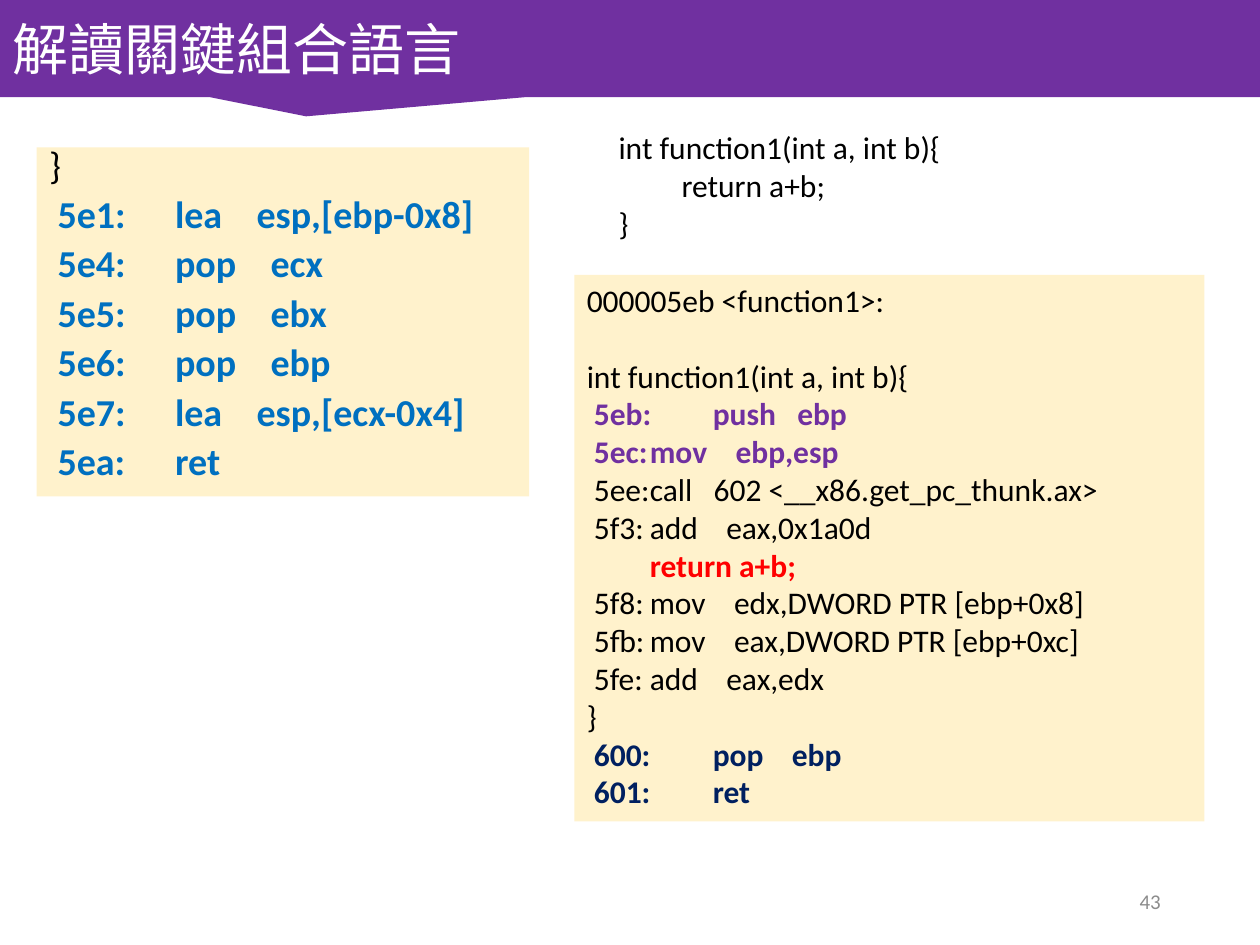
from pptx import Presentation
from pptx.dml.color import RGBColor
from pptx.enum.shapes import MSO_SHAPE
from pptx.enum.text import MSO_ANCHOR, PP_ALIGN
from pptx.util import Cm, Pt

BLACK, WHITE, GRAY, CREAM = "000000", "FFFFFF", "8C8C8C", "FFF2CC"
PURPLE, BLUE, NAVY, RED = "7030A0", "0070C0", "002060", "FF0000"


def add_run(p, text, size, color=BLACK, font="Calibri"):
    """Add a run; on this slide coloured code is bold."""
    r = p.add_run()
    r.text = text
    r.font.size = Pt(size)
    r.font.name = font
    r.font.color.rgb = RGBColor.from_string(color)
    r.font.bold = color in (PURPLE, BLUE, NAVY, RED)
    return r


def add_code(s, box, lines, size, fill=None):
    """Add a text box with one paragraph per (text, colour) line."""
    sp = s.shapes.add_textbox(*[Cm(v) for v in box])
    if fill:
        sp.fill.solid()
        sp.fill.fore_color.rgb = RGBColor.from_string(fill)
    tf = sp.text_frame
    tf.word_wrap = True
    for i, (text, color) in enumerate(lines):
        p = tf.add_paragraph() if i else tf.paragraphs[0]
        add_run(p, text, size, color)
    return tf


prs = Presentation()
prs.slide_width, prs.slide_height = Cm(25.4), Cm(19.05)
s = prs.slides.add_slide(prs.slide_layouts[5])

# Title on a callout band
title = s.shapes.title
title.left, title.top, title.width, title.height = Cm(0), Cm(0), Cm(25.4), Cm(1.96)
band = s.shapes.add_shape(MSO_SHAPE.RECTANGULAR_CALLOUT, Cm(0), Cm(0), Cm(25.4), Cm(1.96))
band.adjustments[0], band.adjustments[1] = -0.257, 0.697
band.shadow.inherit = False
band.fill.solid()
band.fill.fore_color.rgb = RGBColor.from_string(PURPLE)
band.line.fill.background()
title._element.addprevious(band._element)
tf = title.text_frame
tf.vertical_anchor = MSO_ANCHOR.MIDDLE
p = tf.paragraphs[0]
p.alignment = PP_ALIGN.LEFT
r = add_run(p, "解讀關鍵組合語言", 32, WHITE, "Noto Sans CJK SC")
ea = r.font._element.makeelement(
    "{http://schemas.openxmlformats.org/drawingml/2006/main}ea",
    {"typeface": "Noto Sans CJK SC"})
r.font._element.append(ea)

# End of main
main_end = [
    ("}", BLACK),
    (" 5e1:\tlea    esp,[ebp-0x8]", BLUE),
    (" 5e4:\tpop    ecx", BLUE),
    (" 5e5:\tpop    ebx", BLUE),
    (" 5e6:\tpop    ebp", BLUE),
    (" 5e7:\tlea    esp,[ecx-0x4]", BLUE),
    (" 5ea:\tret", BLUE),
]
tf = add_code(s, (0.74, 2.97, 9.93, 7.04), main_end, 21.7, CREAM)
for p in tf.paragraphs:
    p.line_spacing = 0.7
    p.space_before = Pt(10)

# Disassembly of function1
function1 = [
    ("000005eb <function1>:", BLACK),
    ("int function1(int a, int b){", BLACK),
    (" 5eb:\tpush   ebp", PURPLE),
    (" 5ec:\tmov    ebp,esp", PURPLE),
    (" 5ee:\tcall   602 <__x86.get_pc_thunk.ax>", BLACK),
    (" 5f3:\tadd    eax,0x1a0d", BLACK),
    ("\treturn a+b;", RED),
    (" 5f8:\tmov    edx,DWORD PTR [ebp+0x8]", BLACK),
    (" 5fb:\tmov    eax,DWORD PTR [ebp+0xc]", BLACK),
    (" 5fe:\tadd    eax,edx", BLACK),
    ("}", BLACK),
    (" 600:\tpop    ebp", NAVY),
    (" 601:\tret", NAVY),
]
tf = add_code(s, (11.58, 5.54, 12.7, 11.02), function1, 18, CREAM)
tf.paragraphs[1].space_before = Pt(21.6)

# C source of function1
c_source = ["int function1(int a, int b){", "\treturn a+b;", "}"]
add_code(s, (12.22, 2.46, 7.67, 2.57), [(line, BLACK) for line in c_source], 18)

# Slide number
tf = add_code(s, (17.93, 17.65, 5.72, 1.02), [("43", GRAY)], 12)
tf.vertical_anchor = MSO_ANCHOR.MIDDLE
tf.paragraphs[0].alignment = PP_ALIGN.RIGHT

prs.save("out.pptx")
